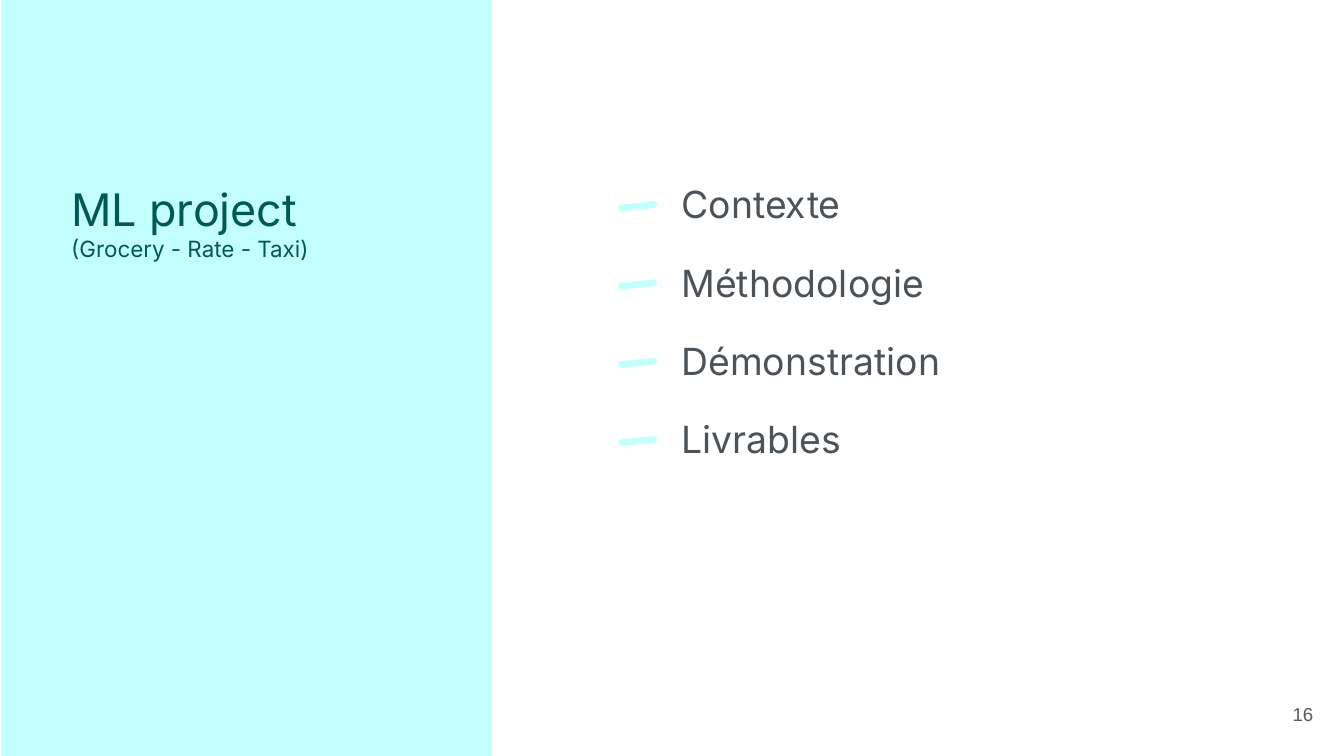
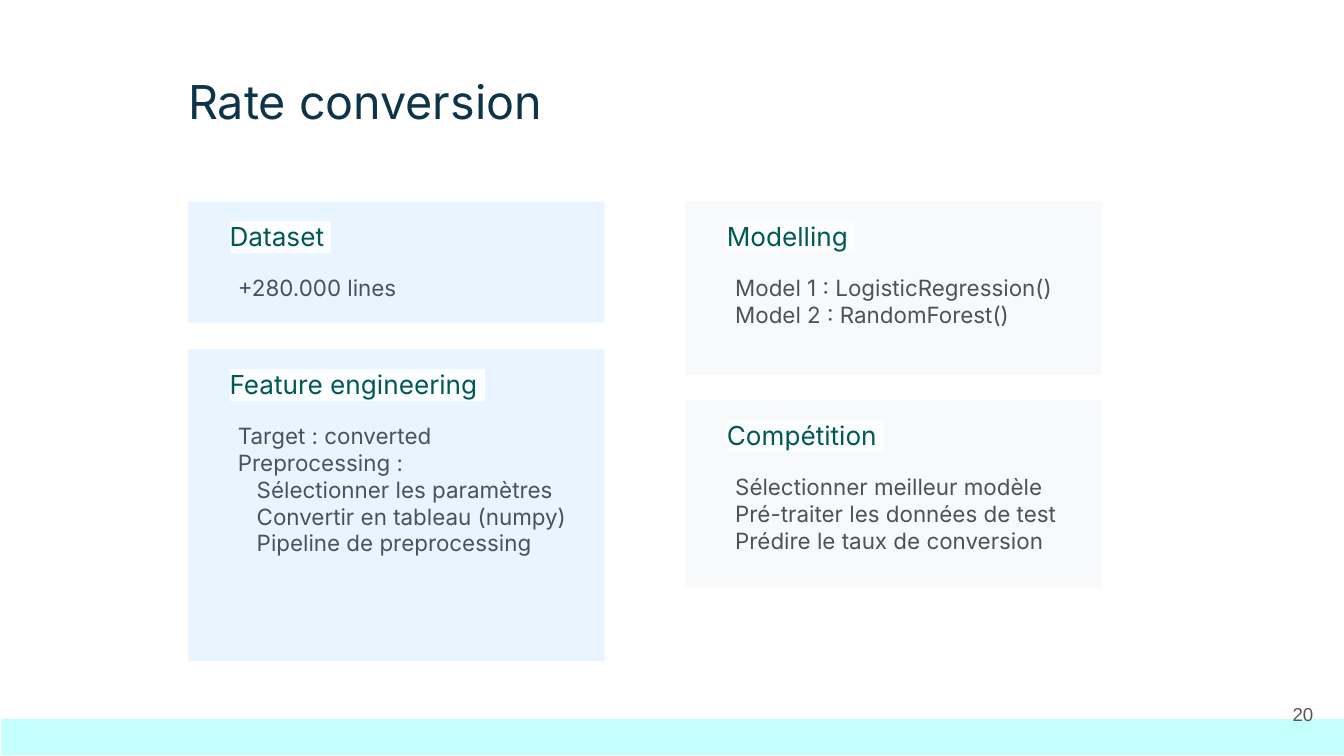
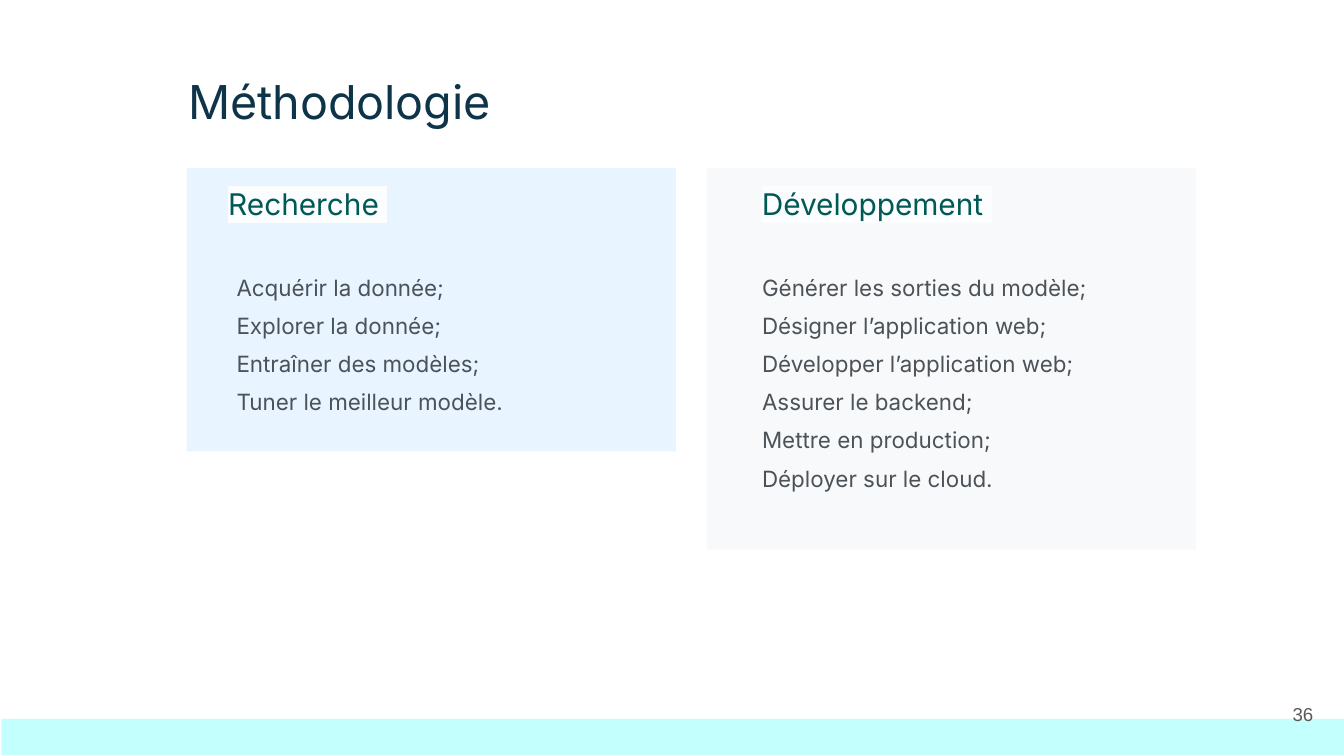
from collections import namedtuple

from lxml import etree
from pptx import Presentation
from pptx.dml.color import RGBColor
from pptx.enum.shapes import MSO_SHAPE as Shape
from pptx.enum.text import MSO_ANCHOR as Anchor, MSO_AUTO_SIZE as AutoSize, PP_ALIGN as Align
from pptx.oxml.ns import qn
from pptx.util import Inches, Pt

# Shared look
AQUA = RGBColor(0xC3, 0xFF, 0xFC)
PALE_BLUE = RGBColor(0xE8, 0xF4, 0xFF)
PALE_GREY = RGBColor(0xF8, 0xF9, 0xFA)
HIGHLIGHT = RGBColor(0xFB, 0xFD, 0xFF)
GREEN = RGBColor(0x01, 0x59, 0x55)
NAVY = RGBColor(0x0E, 0x34, 0x49)
SLATE = RGBColor(0x4B, 0x52, 0x58)
GREY = RGBColor(0x59, 0x59, 0x59)
TEXT_FONT = "Inter"
NUMBER_FONT = "Arial"
COMPARISON, TWO_CONTENT = 4, 3

Box = namedtuple("Box", "left top width height")
Line = namedtuple("Line", "text indent", defaults=(0,))


def inches(box):
    return [Inches(length) for length in box]


def style(paragraph, size, color, font=TEXT_FONT, align=Align.LEFT, before=0, indent=0):
    """Format one paragraph without a bullet."""
    properties = paragraph._p.get_or_add_pPr()
    properties.set("marL", str(Inches(indent)))
    properties.set("indent", "0")
    etree.SubElement(properties, qn("a:buNone"))
    paragraph.alignment = align
    paragraph.space_before = Pt(before)
    paragraph.font.size = Pt(size)
    paragraph.font.name = font
    paragraph.font.bold = False
    paragraph.font.color.rgb = color


def prepare_frame(holder, anchor=Anchor.TOP):
    frame = holder.text_frame
    frame.word_wrap = True
    frame.auto_size = AutoSize.NONE
    frame.vertical_anchor = anchor
    frame.margin_left = frame.margin_right = Inches(0.1)
    frame.margin_top = frame.margin_bottom = Inches(0.1)
    return frame


def fill_placeholder(slide, holder, box, lines, size, color, gap=0):
    """Move a placeholder to the front of the slide and write its lines."""
    slide.shapes.element.append(holder.element)
    holder.left, holder.top, holder.width, holder.height = inches(box)
    frame = prepare_frame(holder)
    for index, line in enumerate(lines):
        paragraph = frame.add_paragraph() if index else frame.paragraphs[0]
        paragraph.text = line.text
        style(paragraph, size, color, before=gap if index else 0, indent=line.indent)
    return frame


def add_block(slide, box, color, kind=Shape.RECTANGLE):
    block = slide.shapes.add_shape(kind, *inches(box))
    block.shadow.inherit = False
    block.fill.solid()
    block.fill.fore_color.rgb = color
    block.line.fill.background()
    return block


def add_page_number(slide, number):
    holder = slide.shapes.add_textbox(*inches(Box(9.27, 5.1, 0.6, 0.43)))
    paragraph = prepare_frame(holder, Anchor.MIDDLE).paragraphs[0]
    paragraph.text = str(number)
    style(paragraph, 10, GREY, NUMBER_FONT, Align.RIGHT)


def add_heading(slide, box, text, size):
    """Card heading on a pale text highlight."""
    holder = slide.shapes.add_textbox(*inches(box))
    paragraph = prepare_frame(holder).paragraphs[0]
    style(paragraph, size, GREEN)
    run = paragraph.add_run()
    run.text = f"{text} "
    highlight = etree.SubElement(run._r.get_or_add_rPr(), qn("a:highlight"))
    etree.SubElement(highlight, qn("a:srgbClr")).set("val", str(HIGHLIGHT))


def add_card(slide, body, box, color, heading, lines, size=14,
             heading_at=(0.21, 0.04), body_at=(0.27, 0.44), gap=0):
    add_block(slide, box, color)
    heading_x, heading_y = heading_at
    add_heading(slide, Box(box.left + heading_x, box.top + heading_y, 2.76, 0.45), heading, size)
    body_x, body_y = body_at
    body_box = Box(box.left + body_x, box.top + body_y, 3.1, box.height - body_y)
    fill_placeholder(slide, body, body_box, lines, 12, SLATE, gap)


def add_agenda(slide, box, topics):
    """Topics at equal steps, each with a slanted dash before it."""
    step = box.height / len(topics)
    for index, (topic, body) in enumerate(zip(topics, bodies_of(slide))):
        top = box.top + index * step
        dash = add_block(slide, Box(box.left, top + 0.26, 0.29, 0.05), AQUA,
                         Shape.ROUNDED_RECTANGLE)
        dash.adjustments[0] = 0.5
        dash.rotation = -5.9
        topic_box = Box(box.left + 0.37, top, box.width - 0.37, step)
        fill_placeholder(slide, body, topic_box, [Line(topic)], 20, SLATE)


def bodies_of(slide):
    return [holder for holder in slide.placeholders if holder.placeholder_format.idx]


def new_slide(deck, layout):
    return deck.slides.add_slide(deck.slide_layouts[layout])


def new_content_slide(deck, layout, title, number):
    slide = new_slide(deck, layout)
    fill_placeholder(slide, slide.shapes.title, Box(1.3, 0.44, 5.81, 0.58),
                     [Line(title)], 25, NAVY)
    add_block(slide, Box(0.01, 5.35, 10, 0.27), AQUA)
    add_page_number(slide, number)
    return slide


# Slide types
def build_section(deck):
    slide = new_slide(deck, COMPARISON)
    add_block(slide, Box(0.01, -0.02, 3.65, 5.65), AQUA)
    title = fill_placeholder(slide, slide.shapes.title, Box(0.43, 1.25, 2.75, 3.78),
                             [Line("ML project"), Line("(Grocery - Rate - Taxi)")], 24, GREEN)
    title.paragraphs[1].font.size = Pt(12)
    add_agenda(slide, Box(4.6, 1.25, 4.33, 2.33),
               ["Contexte", "Méthodologie", "Démonstration", "Livrables"])
    add_page_number(slide, 16)


def build_rate_conversion(deck):
    slide = new_content_slide(deck, COMPARISON, "Rate conversion", 20)
    columns = [
        (1.4, 0.2, PALE_BLUE, [
            ("Dataset", 0.9, [Line("+280.000 lines")]),
            ("Feature engineering", 2.32, [
                Line("Target : converted"),
                Line("Preprocessing :"),
                Line("Sélectionner les paramètres", 0.14),
                Line("Convertir en tableau (numpy)", 0.14),
                Line("Pipeline de preprocessing", 0.14)]),
        ]),
        (5.1, 0.19, PALE_GREY, [
            ("Modelling", 1.29, [
                Line("Model 1 : LogisticRegression()"),
                Line("Model 2 : RandomForest()")]),
            ("Compétition", 1.39, [
                Line("Sélectionner meilleur modèle"),
                Line("Pré-traiter les données de test"),
                Line("Prédire le taux de conversion")]),
        ]),
    ]
    bodies = iter(bodies_of(slide))
    for left, gap, color, cards in columns:
        top = 1.5
        for heading, height, lines in cards:
            add_card(slide, next(bodies), Box(left, top, 3.1, height), color, heading, lines)
            top += height + gap


def build_methodology(deck):
    slide = new_content_slide(deck, TWO_CONTENT, "Méthodologie", 36)
    research, development = bodies_of(slide)
    add_card(slide, research, Box(1.39, 1.25, 3.64, 2.11), PALE_BLUE, "Recherche", [
        Line("Acquérir la donnée;"),
        Line("Explorer la donnée;"),
        Line("Entraîner des modèles;"),
        Line("Tuner le meilleur modèle."),
    ], 16, (0.21, 0.03), (0.27, 0.69), gap=6)
    add_card(slide, development, Box(5.26, 1.25, 3.64, 2.84), PALE_GREY, "Développement", [
        Line("Générer les sorties du modèle;"),
        Line("Désigner l’application web;"),
        Line("Développer l’application web;"),
        Line("Assurer le backend;"),
        Line("Mettre en production;"),
        Line("Déployer sur le cloud."),
    ], 16, (0.31, 0.03), (0.31, 0.69), gap=6)


def main():
    deck = Presentation()
    # Widescreen, 16:9
    deck.slide_width = Inches(10)
    deck.slide_height = deck.slide_width * 9 // 16
    build_section(deck)
    build_rate_conversion(deck)
    build_methodology(deck)
    deck.save("out.pptx")


if __name__ == "__main__":
    main()
